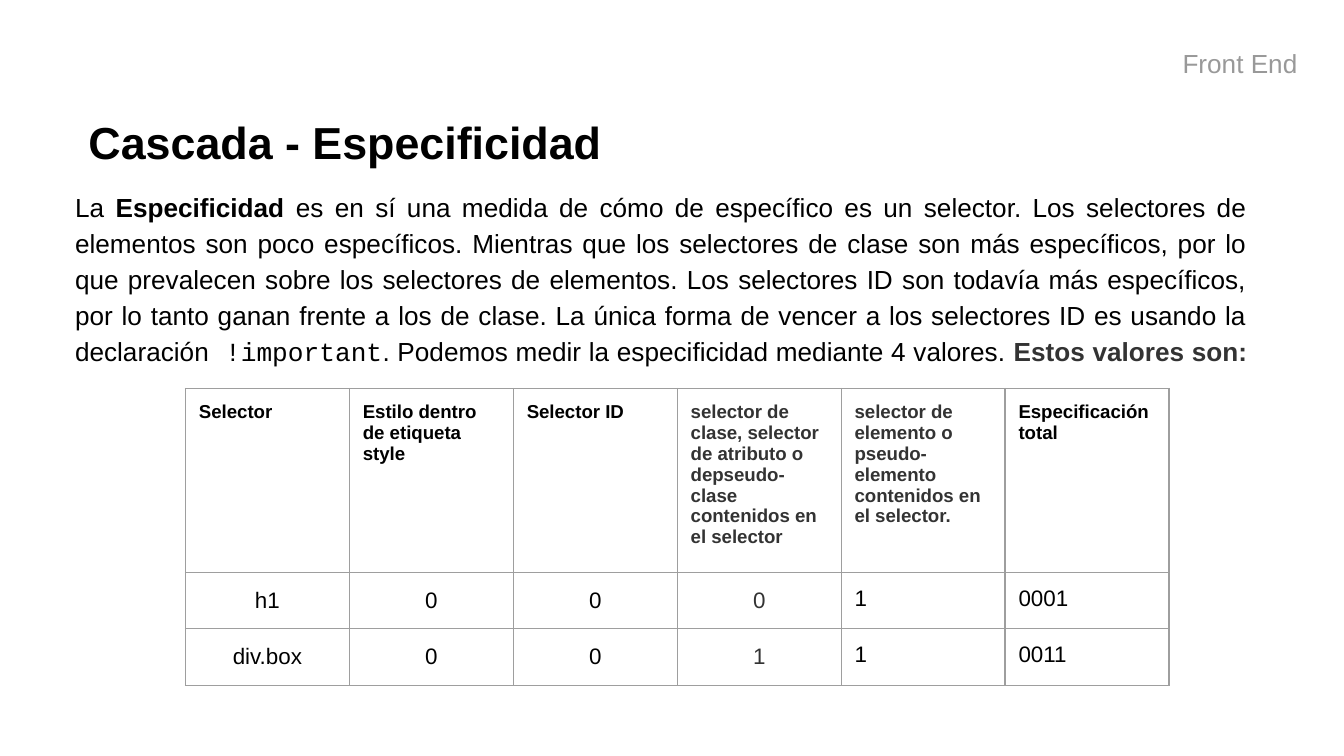
"""Build the slide on CSS specificity: heading, explanation and table of values."""
from lxml import etree
from pptx import Presentation
from pptx.dml.color import RGBColor
from pptx.enum.text import MSO_ANCHOR, PP_ALIGN
from pptx.oxml.ns import qn
from pptx.util import Inches, Pt

LEFT, CENTER, JUSTIFY = PP_ALIGN.LEFT, PP_ALIGN.CENTER, PP_ALIGN.JUSTIFY
TOP, MIDDLE = MSO_ANCHOR.TOP, MSO_ANCHOR.MIDDLE
COLORS = {"black": "000000", "dark": "333333", "gray": "999999", "border": "9E9E9E"}

SECTION = "Front End"
TITLE = "Cascada - Especificidad"
EXPLANATION = [
    ("La ", {}),
    ("Especificidad", {"bold": True}),
    (" es en sí una medida de cómo de específico es un selector. Los selectores de "
     "elementos son poco específicos. Mientras que los selectores de clase son más "
     "específicos, por lo que prevalecen sobre los selectores de elementos. Los "
     "selectores ID son todavía más específicos, por lo tanto ganan frente a los de "
     "clase. La única forma de vencer a los selectores ID es usando la declaración", {}),
    (" !important", {"font": "Courier New"}),
    (". Podemos medir la especificidad mediante 4 valores. ", {}),
    ("Estos valores son: ", {"bold": True, "color": "dark"}),
]
HEADERS = [
    "Selector",
    "Estilo dentro de etiqueta style",
    "Selector ID",
    "selector de clase, selector de atributo o depseudo-clase contenidos en el selector",
    "selector de elemento o pseudo-elemento contenidos en el selector.",
    "Especificación total",
]
ROWS = [
    ["h1", "0", "0", "0", "1", "0001"],
    ["div.box", "0", "0", "1", "1", "0011"],
]
DARK_HEADERS, DARK_VALUES = (3, 4), (3,)
CENTERED_COLUMNS = 4
COLUMN_WIDTH, HEADER_HEIGHT, ROW_HEIGHT = 1.22, 1.17, 0.42
FRAME_SIZE = Inches(3.28)
MARGIN = Inches(0.1)


def add_span(para, text, size=14, color="black", bold=False, font="Arial"):
    """Append formatted text to a paragraph."""
    span = para.add_run()
    span.text = text
    span.font.size = Pt(size)
    span.font.bold = bold
    span.font.name = font
    span.font.color.rgb = RGBColor.from_string(COLORS[color])


def add_text(page, spans, left, top, width, height, anchor=TOP, align=LEFT, spacing=None):
    """Add a wrapped text box holding one paragraph of spans."""
    box = page.shapes.add_textbox(Inches(left), Inches(top), Inches(width), Inches(height))
    frame = box.text_frame
    frame.word_wrap = True
    frame.vertical_anchor = anchor
    frame.margin_left = frame.margin_right = MARGIN
    frame.margin_top = frame.margin_bottom = MARGIN
    para = frame.paragraphs[0]
    para.alignment = align
    para.line_spacing = spacing
    for text, style in spans:
        add_span(para, text, **style)


def add_borders(cell):
    """Draw a thin line on all four sides of a cell."""
    properties = cell._tc.get_or_add_tcPr()
    for index, side in enumerate(("a:lnL", "a:lnR", "a:lnT", "a:lnB")):
        line = etree.Element(qn(side), w=str(Pt(0.75)))
        fill = etree.SubElement(line, qn("a:solidFill"))
        etree.SubElement(fill, qn("a:srgbClr"), val=COLORS["border"])
        properties.insert(index, line)


def fill_cell(cell, text, centered=False, **style):
    """Write and format one table cell."""
    cell.fill.background()
    cell.margin_left = cell.margin_right = MARGIN
    cell.margin_top = cell.margin_bottom = MARGIN
    cell.vertical_anchor = MIDDLE if centered else TOP
    para = cell.text_frame.paragraphs[0]
    para.alignment = CENTER if centered else LEFT
    add_span(para, text, **style)
    add_borders(cell)


def add_values(page, left, top):
    """Add the table of specificity values."""
    holder = page.shapes.add_table(len(ROWS) + 1, len(HEADERS), Inches(left), Inches(top),
                                   FRAME_SIZE, FRAME_SIZE)
    table = holder.table
    table.horz_banding = False
    for column in table.columns:
        column.width = Inches(COLUMN_WIDTH)
    for index, row in enumerate(table.rows):
        row.height = Inches(ROW_HEIGHT if index else HEADER_HEIGHT)
    holder.width = holder.height = FRAME_SIZE
    for column, text in enumerate(HEADERS):
        color = "dark" if column in DARK_HEADERS else "black"
        fill_cell(table.cell(0, column), text, size=10, bold=True, color=color)
    for index, values in enumerate(ROWS, start=1):
        for column, text in enumerate(values):
            color = "dark" if column in DARK_VALUES else "black"
            fill_cell(table.cell(index, column), text, column < CENTERED_COLUMNS,
                      size=12, color=color)


def main():
    """Build and save the deck."""
    deck = Presentation()
    deck.slide_width = Inches(10)
    deck.slide_height = deck.slide_width * 9 // 16
    page = deck.slides.add_slide(deck.slide_layouts[6])
    add_text(page, [(SECTION, {"color": "gray"})], 8.7, 0.25, 1.09, 0.54)
    add_text(page, [(TITLE, {"size": 24, "bold": True})], 0.56, 0.74, 9.14, 0.63, anchor=MIDDLE)
    add_text(page, EXPLANATION, 0.46, 1.29, 8.92, 1.44, align=JUSTIFY, spacing=1.15)
    add_values(page, 1.38, 2.89)
    deck.save("out.pptx")


if __name__ == "__main__":
    main()
